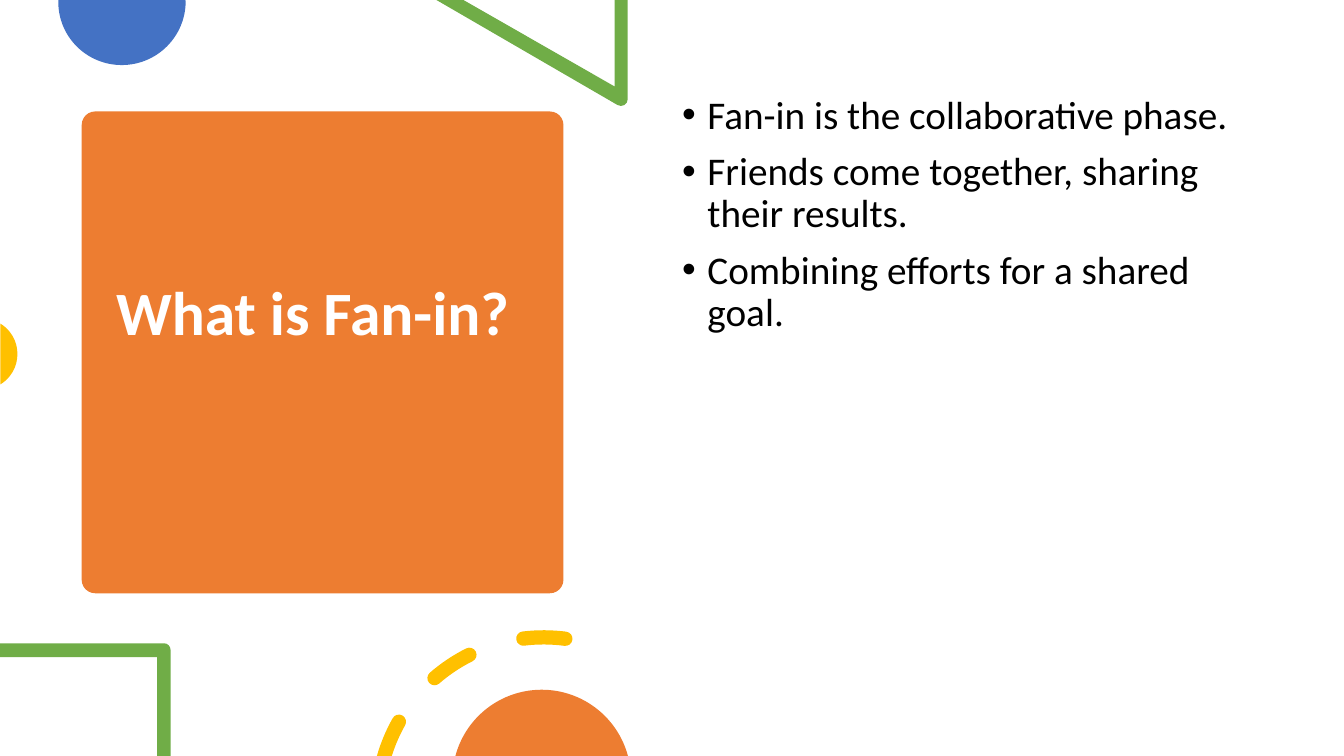
"""Builds the "What is Fan-in?" slide with its bullets and geometric decorations."""
from math import asin, cos, degrees, radians, sin, tan

from lxml.etree import SubElement
from pptx import Presentation
from pptx.dml.color import RGBColor
from pptx.enum.shapes import MSO_SHAPE
from pptx.enum.text import MSO_ANCHOR, MSO_AUTO_SIZE, PP_ALIGN
from pptx.oxml.ns import qn
from pptx.util import Cm, Pt

WIDTH, HEIGHT = 33.87, 19.05
ORANGE, BLUE, GREEN, YELLOW = "ED7D31", "4472C4", "70AD47", "FFC000"
BLACK, WHITE = "000000", "FFFFFF"


def color(hex_string):
    return RGBColor.from_string(hex_string)


def arc(x, y, radius, start, end, parts=1):
    step = radians(end - start) / parts
    reach = 4 / 3 * tan(step / 4)

    def polar(angle, pull=0):
        return (x + radius * (cos(angle) - pull * sin(angle)),
                y + radius * (sin(angle) + pull * cos(angle)))

    points = [polar(radians(start))]
    for part in range(parts):
        angle = radians(start) + part * step
        points.append(polar(angle, reach) + polar(angle + step, -reach) + polar(angle + step))
    return points


def round_dash(x, y, radius, half_width, start, end):
    def ring_start(ring_radius):
        return max(start, 180 + degrees(asin((y - HEIGHT) / ring_radius)))

    def cap(angle, turn):
        center = arc(x, y, radius, angle, angle)[0]
        return arc(*center, half_width, angle + turn, angle + turn + 180, 2)[1:]

    outer, inner = radius + half_width, radius - half_width
    points = arc(x, y, outer, ring_start(outer), end) + cap(end, 0)
    points += arc(x, y, inner, end, ring_start(inner))[1:]
    return points + cap(start, 180) if ring_start(radius) == start else points


class SlideBuilder:
    def __init__(self, slide, font="Calibri"):
        self.slide = slide
        self.font = font

    def paint(self, shape, fill):
        shape.shadow.inherit = False
        shape.fill.solid()
        shape.fill.fore_color.rgb = color(fill)
        shape.line.fill.background()

    def style(self, paragraph, size, text_color, bold=False):
        paragraph.alignment = PP_ALIGN.LEFT
        paragraph.line_spacing = 0.9
        paragraph.font.name = self.font
        paragraph.font.size = Pt(size)
        paragraph.font.bold = bold
        paragraph.font.color.rgb = color(text_color)

    def card(self, left, top, size, fill):
        card = self.slide.shapes.add_shape(
            MSO_SHAPE.ROUNDED_RECTANGLE, Cm(left), Cm(top), Cm(size), Cm(size))
        card.adjustments[0] = 0.028
        self.paint(card, fill)
        self.slide.shapes.title.element.addprevious(card.element)

    def title(self, text, left, top, width, height):
        title = self.slide.shapes.title
        title.left, title.top = Cm(left), Cm(top)
        title.width, title.height = Cm(width), Cm(height)
        frame = title.text_frame
        frame.text = text
        frame.word_wrap = True
        frame.auto_size = MSO_AUTO_SIZE.NONE
        frame.vertical_anchor = MSO_ANCHOR.MIDDLE
        frame.margin_bottom = Cm(1.98)
        self.style(frame.paragraphs[0], 44, WHITE, bold=True)

    def bullets(self, lines, left, top, width, height):
        box = self.slide.shapes.add_textbox(Cm(left), Cm(top), Cm(width), Cm(height))
        frame = box.text_frame
        frame.word_wrap = True
        frame.text = "\n".join(lines)
        for paragraph in frame.paragraphs:
            self.style(paragraph, 28, BLACK)
            paragraph.space_before = Pt(10)
            properties = paragraph._p.get_or_add_pPr()
            indent = Cm(0.64)
            properties.set("marL", str(indent))
            properties.set("indent", str(-indent))
            SubElement(properties, qn("a:buFont")).set("typeface", "Arial")
            SubElement(properties, qn("a:buChar")).set("char", "•")
            properties.append(properties.find(qn("a:defRPr")))

    def outline(self, fill, *contours):
        contours = [[[Cm(value) for value in point] for point in points] for points in contours]
        builder = self.slide.shapes.build_freeform(*contours[0][0])
        for index, points in enumerate(contours):
            if index:
                builder.move_to(*points[0])
            builder.add_line_segments([point[-2:] for point in points[1:]], close=True)
        shape = builder.convert_to_shape()
        self.paint(shape, fill)
        segments = [point for points in contours for point in points[1:]]
        for line, point in zip(list(shape.element.iter(qn("a:lnTo"))), segments):
            if len(point) == 6:
                self.bend(line, point, shape.left, shape.top)

    def bend(self, line, point, left, top):
        curve = line.makeelement(qn("a:cubicBezTo"))
        for x, y in zip(point[::2], point[1::2]):
            node = SubElement(curve, qn("a:pt"))
            node.set("x", str(x - left))
            node.set("y", str(y - top))
        line.getparent().replace(line, curve)


presentation = Presentation()
presentation.slide_width, presentation.slide_height = Cm(WIDTH), Cm(HEIGHT)
builder = SlideBuilder(presentation.slides.add_slide(presentation.slide_layouts[5]))

builder.card(2.06, 2.81, 12.14, ORANGE)
builder.title("What is Fan-in?", 2.67, 3.1, 10.95, 11.58)

half_disc = [(4.67, 0), (1.47, 0), (1.47, 0.03)] + arc(3.07, 0.03, 1.61, 180, 0, 2)[1:]
triangle = [(15.82, 0), (15.49, 0), (15.49, 2.18), (11.68, 0), (11, 0)]
triangle += arc(15.65, 2.5, 0.17, 120, 0, 2)
edge_disc = arc(-0.46, 8.92, 0.9, -58.5, 58.5, 2)
builder.outline(BLUE, half_disc)
builder.outline(GREEN, triangle)
builder.outline(YELLOW, edge_disc)

builder.bullets([
    "Fan-in is the collaborative phase.",
    "Friends come together, sharing their results.",
    "Combining efforts for a shared goal.",
], 16.94, 2.28, 14.6, 13.59)

frame_corner = [(0, 16.21)] + arc(4.13, 16.38, 0.17, -90, 0)
frame_corner += [(4.3, HEIGHT), (3.96, HEIGHT), (3.96, 16.56), (0, 16.56)]
dashes = [round_dash(13.7, 20.25, 4.19, 0.18, start, start + 14.5)
          for start in range(195, 264, 34)]
builder.outline(GREEN, frame_corner)
builder.outline(YELLOW, *dashes)
builder.outline(ORANGE, arc(13.65, 19.63, 2.25, 194.9, 345.1, 2))

presentation.save("out.pptx")
